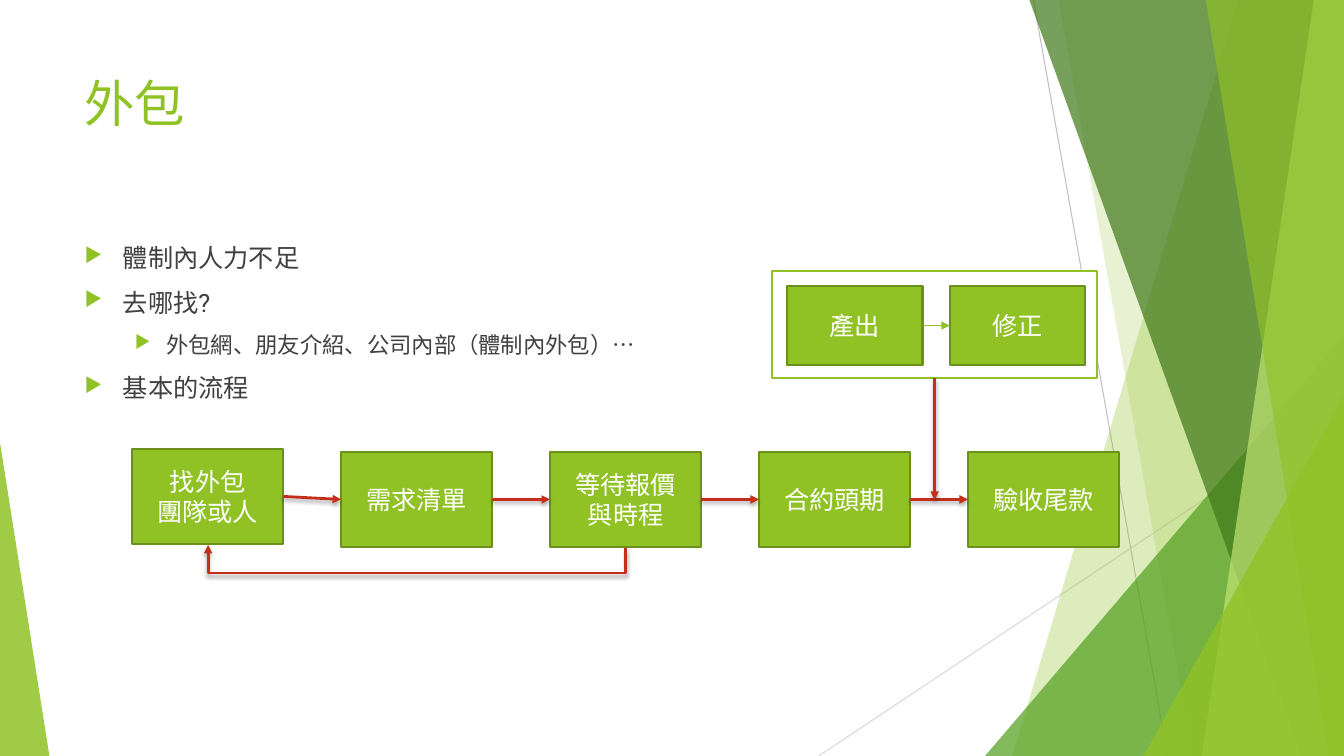
"""Build the outsourcing slide: a bullet list above a process flow."""
from dataclasses import dataclass

from lxml import etree
from pptx import Presentation
from pptx.dml.color import RGBColor
from pptx.enum.shapes import MSO_CONNECTOR, MSO_SHAPE
from pptx.enum.text import MSO_ANCHOR, PP_ALIGN
from pptx.oxml.ns import qn
from pptx.util import Inches, Pt

RECTANGLE, TRIANGLE = MSO_SHAPE.RECTANGLE, MSO_SHAPE.ISOSCELES_TRIANGLE
STRAIGHT, ELBOW = MSO_CONNECTOR.STRAIGHT, MSO_CONNECTOR.ELBOW
LEFT, CENTER = PP_ALIGN.LEFT, PP_ALIGN.CENTER
TOP, MIDDLE = MSO_ANCHOR.TOP, MSO_ANCHOR.MIDDLE
WIDTH, HEIGHT = 13.33, 7.5


@dataclass(frozen=True)
class Theme:
    font: str = "Roboto"
    green: str = "90C226"
    leaf: str = "54A021"
    forest: str = "3F7819"
    lime: str = "C0E474"
    border: str = "6B901C"
    red: str = "C42F1A"
    white: str = "FFFFFF"
    ink: str = "404040"
    grey: str = "BFBFBF"
    pale_grey: str = "D9D9D9"
    title_size: int = 36
    text_size: int = 18
    detail_size: int = 16


@dataclass(frozen=True)
class Facet:
    """A translucent background panel, cut from the right edge of the slide."""
    top_x: float
    bottom_x: float
    color: str
    opacity: int


@dataclass(frozen=True)
class Wedge:
    """A translucent background triangle standing on the slide's bottom edge."""
    left: float
    width: float
    height: float
    apex: float
    color: str
    opacity: int


@dataclass(frozen=True)
class Step:
    label: str
    left: float
    top: float
    width: float = 1.5
    height: float = 0.95

    @property
    def right(self) -> float:
        return self.left + self.width

    @property
    def middle(self) -> float:
        return self.top + self.height / 2


@dataclass(frozen=True)
class Point:
    text: str
    size: int
    margin: float = 0.38
    hanging: float = 0.38


THEME = Theme()
BACKDROP = [
    Facet(12.28, 10.04, THEME.green, 30),
    Facet(10.5, 11.83, THEME.green, 20),
    Wedge(9.77, 3.56, 4.17, 1, THEME.leaf, 72),
    Facet(10.21, 12.91, THEME.forest, 70),
    Facet(13.03, 11.92, THEME.lime, 70),
    Facet(11.96, 13.18, THEME.green, 65),
    Wedge(11.34, 1.99, 3.57, 1, THEME.green, 80),
    Wedge(0, 0.49, 3.11, 0, THEME.green, 85),
]
POINTS = [
    Point("體制內人力不足", THEME.text_size),
    Point("去哪找?", THEME.text_size),
    Point("外包網、朋友介紹、公司內部（體制內外包）…", THEME.detail_size, 0.81, 0.31),
    Point("基本的流程", THEME.text_size),
]
FLOW_LABELS = ["找外包\n團隊或人", "需求清單", "等待報價\n與時程", "合約頭期", "驗收尾款"]
FLOW = [Step(label, 1.31 + 2.0725 * i, 4.48 if i else 4.45)
        for i, label in enumerate(FLOW_LABELS)]
REVISION = [Step(label, 7.81 + 1.61 * i, 2.84, 1.34, 0.78)
            for i, label in enumerate(["產出", "修正"])]


def rgb(color: str) -> RGBColor:
    return RGBColor.from_string(color)


def child(parent, tag: str, **attributes):
    return etree.SubElement(parent, qn(tag), attributes)


def paint(shape, fill: str, opacity: int = 100, border: str = "") -> None:
    shape.shadow.inherit = False
    shape.fill.solid()
    shape.fill.fore_color.rgb = rgb(fill)
    if opacity < 100:
        color = shape.fill._xPr.find(qn("a:solidFill"))[0]
        child(color, "a:alpha", val=str(opacity * 1000))
    if border:
        shape.line.color.rgb = rgb(border)
        shape.line.width = Pt(1.5)
    else:
        shape.line.fill.background()


def write(frame, text: str, *, size: int, color: str, align=LEFT, anchor=TOP,
          points: tuple = ()) -> None:
    frame.word_wrap = True
    frame.vertical_anchor = anchor
    for i, line in enumerate(text.split("\n")):
        paragraph = frame.paragraphs[0] if i == 0 else frame.add_paragraph()
        paragraph.alignment = align
        if points:
            if i:
                paragraph.space_before = Pt(10)
            add_bullet(paragraph, points[i])
        run = paragraph.add_run()
        run.text = line
        run.font.name = THEME.font
        run.font.size = Pt(points[i].size if points else size)
        run.font.color.rgb = rgb(color)


def add_bullet(paragraph, point: Point) -> None:
    props = paragraph._p.get_or_add_pPr()
    props.set("marL", str(Inches(point.margin)))
    props.set("indent", str(-Inches(point.hanging)))
    child(child(props, "a:buClr"), "a:srgbClr", val=THEME.green)
    child(props, "a:buSzPct", val="80000")
    child(props, "a:buChar", char="▶")


def add_rectangle(shapes, step: Step, fill: str, border: str) -> None:
    box = shapes.add_shape(RECTANGLE, Inches(step.left), Inches(step.top),
                           Inches(step.width), Inches(step.height))
    paint(box, fill, border=border)
    if step.label:
        write(box.text_frame, step.label, size=THEME.text_size, color=THEME.white,
              align=CENTER, anchor=MIDDLE)


def add_line(shapes, start: tuple, end: tuple, color: str, width: float, *,
             kind=STRAIGHT, arrow: bool = False, shadow: bool = False):
    line = shapes.add_connector(kind, *(Inches(v) for v in (*start, *end)))
    line.line.color.rgb = rgb(color)
    line.line.width = Pt(width)
    if arrow:
        child(line.line._get_or_add_ln(), "a:tailEnd", type="triangle")
    effects = child(line._element.spPr, "a:effectLst")
    if shadow:
        outer = child(effects, "a:outerShdw", blurRad=str(Pt(3)), dist=str(Pt(2)),
                      dir="5400000", rotWithShape="0")
        child(child(outer, "a:srgbClr", val="000000"), "a:alpha", val="35000")
    return line


def add_flow_arrow(shapes, start: tuple, end: tuple, kind=STRAIGHT):
    return add_line(shapes, start, end, THEME.red, 2, kind=kind, arrow=True, shadow=True)


def add_return_arrow(shapes) -> None:
    arrow = add_flow_arrow(shapes, (4.15, 3.35), (4.12, 7.49), ELBOW)
    props = arrow._element.spPr
    props.find(qn("a:xfrm")).set("rot", "5400000")
    guides = props.find(qn("a:prstGeom")).find(qn("a:avLst"))
    child(guides, "a:gd", name="adj1", fmla="val -833333")


def add_backdrop(shapes) -> None:
    add_line(shapes, (10.25, 0), (11.58, HEIGHT), THEME.grey, 0.75)
    add_line(shapes, (WIDTH, 4.03), (8.12, HEIGHT), THEME.pale_grey, 0.75)
    for panel in BACKDROP:
        if isinstance(panel, Facet):
            outline = shapes.build_freeform(Inches(panel.top_x), 0)
            corners = [(WIDTH, 0), (WIDTH, HEIGHT), (panel.bottom_x, HEIGHT)]
            outline.add_line_segments([(Inches(x), Inches(y)) for x, y in corners])
            shape = outline.convert_to_shape()
        else:
            shape = shapes.add_shape(
                TRIANGLE, Inches(panel.left), Inches(HEIGHT - panel.height),
                Inches(panel.width), Inches(panel.height))
            shape.adjustments[0] = panel.apex
        paint(shape, panel.color, panel.opacity)


def main() -> None:
    deck = Presentation()
    deck.slide_width, deck.slide_height = Inches(WIDTH), Inches(HEIGHT)
    shapes = deck.slides.add_slide(deck.slide_layouts[6]).shapes
    add_backdrop(shapes)
    add_rectangle(shapes, Step("", 7.66, 2.69, 3.22, 1.06), THEME.white, THEME.green)

    title = shapes.add_textbox(Inches(0.74), Inches(0.67), Inches(9.4), Inches(1.44))
    write(title.text_frame, "外包", size=THEME.title_size, color=THEME.green)
    body = shapes.add_textbox(Inches(0.74), Inches(2.36), Inches(9.4), Inches(4.24))
    write(body.text_frame, "\n".join(point.text for point in POINTS),
          size=THEME.text_size, color=THEME.ink, points=tuple(POINTS))

    for step in FLOW + REVISION:
        add_rectangle(shapes, step, THEME.green, THEME.border)
    for step, following in zip(FLOW, FLOW[1:]):
        add_flow_arrow(shapes, (step.right, step.middle), (following.left, following.middle))
    add_return_arrow(shapes)
    output, fix = REVISION
    add_line(shapes, (output.right, output.middle), (fix.left, fix.middle),
             THEME.green, 1, arrow=True)
    add_flow_arrow(shapes, (9.27, 3.75), (9.27, 4.96))
    deck.save("out.pptx")


if __name__ == "__main__":
    main()
